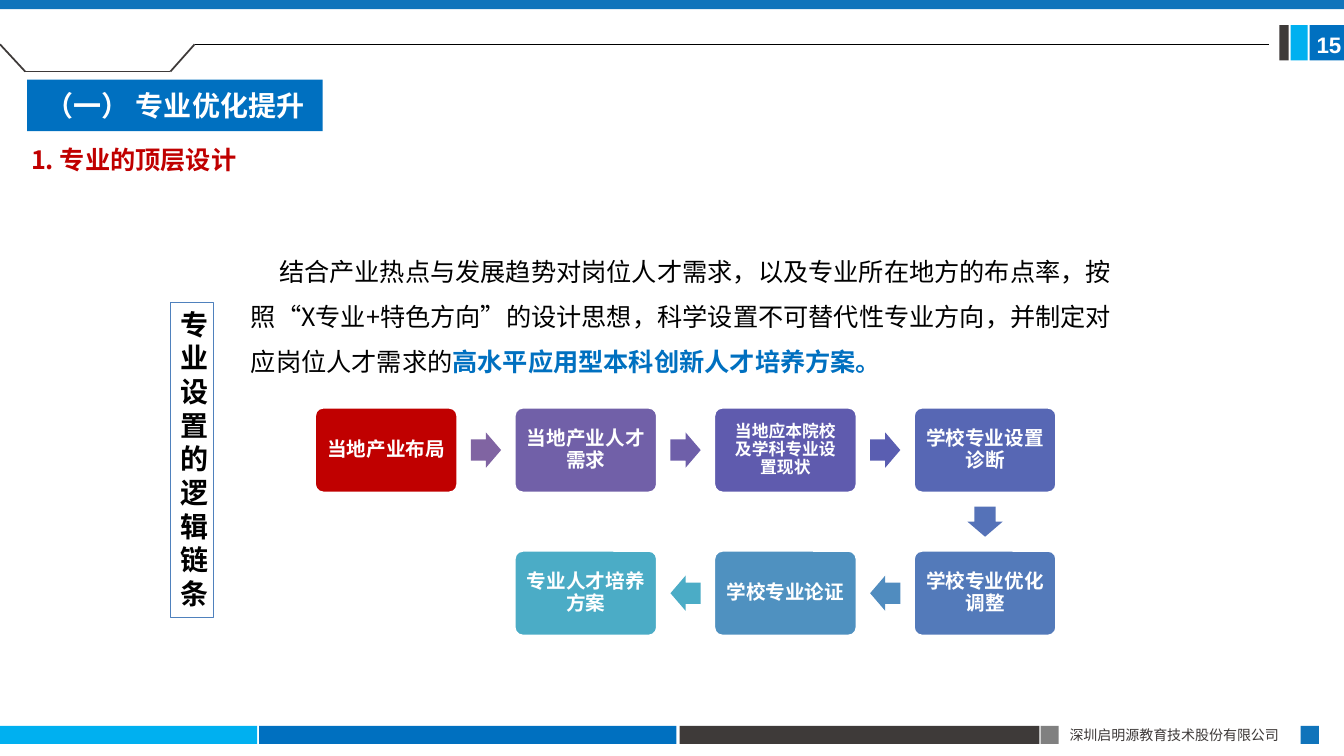
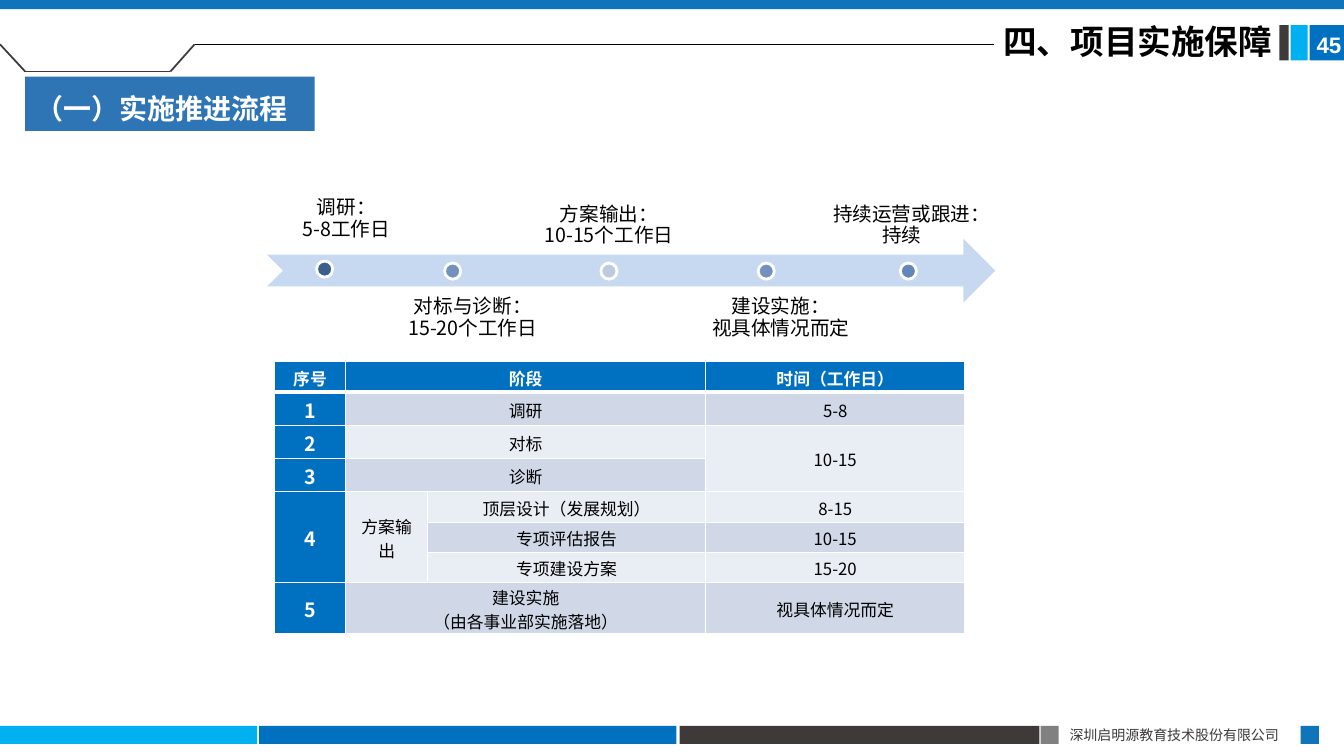
from pptx import Presentation
from pptx.dml.color import RGBColor
from pptx.enum.shapes import MSO_CONNECTOR, MSO_SHAPE as SHAPE
from pptx.enum.text import MSO_ANCHOR as ANCHOR, MSO_AUTO_SIZE, PP_ALIGN as ALIGN
from pptx.oxml.ns import qn
from pptx.util import Inches, Pt
from lxml import etree

SANS = "Noto Sans CJK SC"
WHITE = RGBColor(0xFF, 0xFF, 0xFF)
BLACK = RGBColor(0, 0, 0)
BLUE = RGBColor(0x00, 0x70, 0xC0)
SKY = RGBColor(0x00, 0xB0, 0xF0)
BAND_BLUE = RGBColor(0x10, 0x74, 0xBB)
TAG_BLUE = RGBColor(0x2E, 0x75, 0xB6)
OUTLINE_BLUE = RGBColor(0x4F, 0x81, 0xBD)
PALE_BLUE = RGBColor(0xC6, 0xD9, 0xF1)
CHARCOAL = RGBColor(0x3E, 0x3A, 0x39)
GRAY = RGBColor(0x80, 0x80, 0x80)
RED = RGBColor(0xC0, 0x00, 0x00)
ROW_DARK = RGBColor(0xD0, 0xD8, 0xE8)
ROW_LIGHT = RGBColor(0xE9, 0xED, 0xF4)

# Box text, box colour, colour of the arrow that leads to the box
STEPS = [
    ("当地产业布局", "C00000", None),
    ("当地产业人才需求", "7160A8", "8064A2"),
    ("当地应本院校\n及学科专业设\n置现状", "5F5BAE", "6E5FA9"),
    ("学校专业设置诊断", "5767B4", "5A5EB1"),
    ("学校专业优化调整", "537ABA", "5572B8"),
    ("学校专业论证", "4F91C0", "508CBF"),
    ("专业人才培养方案", "4BACC6", "4BACC6"),
]

# Label, its left, top, width, height and anchor
MILESTONES = [
    ("调研：\n5-8工作日", 2.65, 1.91, 1.57, 0.56, ANCHOR.BOTTOM),
    ("对标与诊断：\n15-20个工作日", 3.91, 2.92, 1.56, 0.63, ANCHOR.TOP),
    ("方案输出：\n10-15个工作日", 5.28, 1.9, 1.52, 0.63, ANCHOR.BOTTOM),
    ("建设实施：\n视具体情况而定", 6.87, 2.92, 1.75, 0.63, ANCHOR.TOP),
    ("持续运营或跟进：\n持续", 8.16, 1.9, 1.57, 0.63, ANCHOR.BOTTOM),
]
DOTS = [(3.14, 2.59, "3A5F8C"), (4.41, 2.61, "7391BF"), (5.96, 2.61, "BECADF"),
        (7.52, 2.61, "7391BF"), (8.93, 2.61, "6387B9")]

SCHEDULE = [
    ["序号", "阶段", None, "时间（工作日）"],
    ["1", "调研", None, "5-8"],
    ["2", "对标", None, "10-15"],
    ["3", "诊断", None, None],
    ["4", "方案输出", "顶层设计（发展规划）", "8-15"],
    [None, None, "专项评估报告", "10-15"],
    [None, None, "专项建设方案", "15-20"],
    ["5", "建设实施\n（由各事业部实施落地）", None, "视具体情况而定"],
]
MERGES = [(r, 1, r, 2) for r in (0, 1, 2, 3, 7)] + [(2, 3, 3, 3), (4, 0, 6, 0), (4, 1, 6, 1)]
COL_WIDTHS = [0.71, 0.81, 2.76, 2.57]
ROW_HEIGHTS = [0.3] + [0.33] * 3 + [0.3] * 3 + [0.5]


def set_text(tf, text, size=18, color=BLACK, bold=False, font=SANS, align=ALIGN.LEFT,
             anchor=ANCHOR.TOP, insets=(0.1, 0.05, 0.1, 0.05), spacing=None,
             after=None, indent=0):
    """Fill a text frame; text is a string or a list of (text, run format) pairs."""
    tf.word_wrap = True
    tf.auto_size = MSO_AUTO_SIZE.NONE
    tf.vertical_anchor = anchor
    tf.margin_left, tf.margin_top, tf.margin_right, tf.margin_bottom = map(Inches, insets)
    lines = [[(t, {})] for t in text.split("\n")] if isinstance(text, str) else [text]
    for i, line in enumerate(lines):
        p = tf.paragraphs[0] if i == 0 else tf.add_paragraph()
        p.alignment = align
        if spacing:
            p.line_spacing = spacing
        if after:
            p.space_after = Pt(after)
        if indent:
            p._p.get_or_add_pPr().set("indent", str(Inches(indent)))
        for content, fmt in line:
            r = p.add_run()
            r.text = content
            r.font.size = Pt(size)
            r.font.name = font
            r.font.bold = fmt.get("bold", bold)
            r.font.color.rgb = fmt.get("color", color)
            ea = etree.SubElement(r._r.get_or_add_rPr(), qn("a:ea"))
            ea.set("typeface", font)


def add_text(s, box, text, **fmt):
    set_text(s.shapes.add_textbox(*map(Inches, box)).text_frame, text, **fmt)


def add_block(s, box, fill=None, kind=SHAPE.RECTANGLE, line=None, width=0.75):
    sp = s.shapes.add_shape(kind, *map(Inches, box))
    sp.shadow.inherit = False
    if fill is None:
        sp.fill.background()
    else:
        sp.fill.solid()
        sp.fill.fore_color.rgb = fill
    if line is None:
        sp.line.fill.background()
    else:
        sp.line.color.rgb = line
        sp.line.width = Pt(width)
    return sp


def add_line(s, x1, y1, x2, y2, color, width):
    cn = s.shapes.add_connector(MSO_CONNECTOR.STRAIGHT, *map(Inches, (x1, y1, x2, y2)))
    cn.line.color.rgb = color
    cn.line.width = Pt(width)
    etree.SubElement(cn.element.spPr, qn("a:effectLst"))


def set_title(s, box, text, fill=None, **fmt):
    title = s.shapes.title
    title.left, title.top, title.width, title.height = map(Inches, box)
    if fill is not None:
        title.fill.solid()
        title.fill.fore_color.rgb = fill
    set_text(title.text_frame, text, bold=True, **fmt)


def add_frame(s, layout):
    """Draw the shared bands and footer, then move them to the layout."""
    first = len(s.shapes)
    for box, color in [
        ((0, 7.2, 2.55, 0.18), SKY),
        ((2.57, 7.2, 4.14, 0.18), BLUE),
        ((6.74, 7.2, 3.57, 0.18), CHARCOAL),
        ((10.32, 7.2, 0.18, 0.18), GRAY),
        ((12.9, 7.2, 0.18, 0.18), BAND_BLUE),
        ((12.99, 0.25, 0.34, 0.35), BLUE),
        ((12.8, 0.25, 0.17, 0.35), SKY),
        ((12.69, 0.25, 0.09, 0.35), CHARCOAL),
        ((0, 0, 13.33, 0.09), BAND_BLUE),
    ]:
        add_block(s, box, color)
    add_text(s, (10.51, 7.16, 2.4, 0.27), "深圳启明源教育技术股份有限公司",
             size=10, color=CHARCOAL)
    corners = [(0, 0.44), (0.25, 0.71), (1.69, 0.71), (1.93, 0.44)]
    for start, end in zip(corners, corners[1:]):
        add_line(s, *start, *end, CHARCOAL, 1.25)
    for number, sp in enumerate(list(s.shapes)[first:], 101):
        sp.element.xpath(".//p:cNvPr")[0].set("id", str(number))
        layout.shapes.element.append(sp.element)


def add_header(s, page, rule_end):
    add_line(s, 1.93, 0.44, rule_end, 0.44, BLACK, 0.5)
    add_text(s, (12.96, 0.26, 0.37, 0.37), page, size=16, color=WHITE, bold=True,
             font="Arial", insets=(0.1, 0.05, 0, 0.05))


def add_flow(s):
    """Lay the steps out left to right, then back along a second row."""
    per_row, pitch, left = 4, 1.98, 3.12
    w, h, arrow_w, arrow_h = 1.42, 0.85, 0.3, 0.35
    tops = (4.04, 5.46)
    centers = []
    for i, (text, fill, arrow_fill) in enumerate(STEPS):
        row = i // per_row
        col = i if row == 0 else 2 * per_row - 1 - i
        x, y = left + col * pitch, tops[row]
        centers.append((x + w / 2, y + h / 2))
        box = add_block(s, (x, y, w, h), RGBColor.from_string(fill),
                        SHAPE.ROUNDED_RECTANGLE, WHITE, 2)
        box.adjustments[0] = 0.1
        set_text(box.text_frame, text, size=12 if "\n" in text else 14, color=WHITE,
                 bold=True, align=ALIGN.CENTER, anchor=ANCHOR.MIDDLE,
                 insets=(0.06,) * 4, spacing=0.9)
        if i:
            (x1, y1), (x2, y2) = centers[-2:]
            arrow = add_block(s, ((x1 + x2 - arrow_w) / 2, (y1 + y2 - arrow_h) / 2,
                                  arrow_w, arrow_h),
                              RGBColor.from_string(arrow_fill), SHAPE.RIGHT_ARROW)
            arrow.adjustments[0] = 0.6
            arrow.rotation = 0 if x2 > x1 else 180 if x2 < x1 else 90


def add_timeline(s):
    add_block(s, (2.65, 2.37, 7.22, 0.63), PALE_BLUE, SHAPE.NOTCHED_RIGHT_ARROW)
    for text, *box, anchor in MILESTONES:
        add_text(s, box, text, size=14, align=ALIGN.CENTER, anchor=anchor,
                 insets=(0.08,) * 4, spacing=Pt(10.8), after=4.9)
    for x, y, color in DOTS:
        add_block(s, (x, y, 0.16, 0.16), RGBColor.from_string(color), SHAPE.OVAL, WHITE, 2)


def set_borders(cell, **widths):
    tc_pr = cell._tc.get_or_add_tcPr()
    for i, side in enumerate("LRTB"):
        ln = etree.Element(qn(f"a:ln{side}"), w=str(Pt(widths.get(side, 1))))
        fill = etree.SubElement(ln, qn("a:solidFill"))
        etree.SubElement(fill, qn("a:srgbClr"), val=str(WHITE))
        tc_pr.insert(i, ln)


def add_schedule(s):
    box = (2.72, 3.59, sum(COL_WIDTHS), sum(ROW_HEIGHTS))
    table = s.shapes.add_table(len(SCHEDULE), len(COL_WIDTHS), *map(Inches, box)).table
    for col, width in zip(table.columns, COL_WIDTHS):
        col.width = Inches(width)
    for row, height in zip(table.rows, ROW_HEIGHTS):
        row.height = Inches(height)
    for r1, c1, r2, c2 in MERGES:
        table.cell(r1, c1).merge(table.cell(r2, c2))
    for r, values in enumerate(SCHEDULE):
        for c, value in enumerate(values):
            cell = table.cell(r, c)
            head = r == 0 or c == 0
            cell.fill.solid()
            cell.fill.fore_color.rgb = BLUE if head else ROW_DARK if r % 2 else ROW_LIGHT
            set_borders(cell, T=3 if r == 1 else 1, B=3 if r == 0 else 1)
            cell.vertical_anchor = ANCHOR.MIDDLE
            cell.margin_top, cell.margin_bottom = Inches(0.02), 0
            if value:
                fill_cell(cell, value, 14 if c == 0 and r else 12, head)


def fill_cell(cell, text, size, head):
    tf = cell.text_frame
    for i, line in enumerate(text.split("\n")):
        p = tf.paragraphs[0] if i == 0 else tf.add_paragraph()
        p.alignment = ALIGN.CENTER
        r = p.add_run()
        r.text = line
        r.font.size, r.font.name, r.font.bold = Pt(size), SANS, head
        r.font.color.rgb = WHITE if head else BLACK
        etree.SubElement(r._r.get_or_add_rPr(), qn("a:ea")).set("typeface", SANS)


def build_design_slide(s):
    add_header(s, "15", 12.59)
    set_title(s, (0.27, 0.79, 2.93, 0.51), "（一） 专业优化提升", fill=BLUE, size=20,
              color=WHITE, align=ALIGN.CENTER, anchor=ANCHOR.MIDDLE,
              insets=(0.05, 0.05, 0.05, 0.05))
    add_text(s, (0.21, 1.38, 2.27, 0.7), "1. 专业的顶层设计", color=RED, bold=True)
    add_flow(s)
    add_text(s, (2.39, 2.34, 8.87, 1.92), [
        ("结合产业热点与发展趋势对岗位人才需求，以及专业所在地方的布点率，按照“X专业+特色方向”"
         "的设计思想，科学设置不可替代性专业方向，并制定对应岗位人才需求的", {}),
        ("高水平应用型本科创新人才培养方案。", {"color": BLUE, "bold": True}),
    ], spacing=1.5, indent=0.28)
    chain = add_block(s, (1.69, 3, 0.43, 3.13), line=OUTLINE_BLUE)
    set_text(chain.text_frame, "专业设置的逻辑链条", size=20, bold=True)


def build_process_slide(s):
    add_header(s, "45", 9.86)
    set_title(s, (9.85, 0.2, 3.03, 0.5), "四、项目实施保障", size=24, spacing=0.9)
    add_schedule(s)
    add_timeline(s)
    tag = add_block(s, (0.25, 0.76, 2.87, 0.54), TAG_BLUE)
    set_text(tag.text_frame, "（一）实施推进流程", size=20, color=WHITE, bold=True, spacing=1.3)


def main():
    prs = Presentation()
    prs.slide_width, prs.slide_height = Inches(13.33), Inches(7.5)
    layout = prs.slide_layouts[5]
    design = prs.slides.add_slide(layout)
    add_frame(design, layout)
    build_design_slide(design)
    build_process_slide(prs.slides.add_slide(layout))
    prs.save("out.pptx")


if __name__ == "__main__":
    main()
